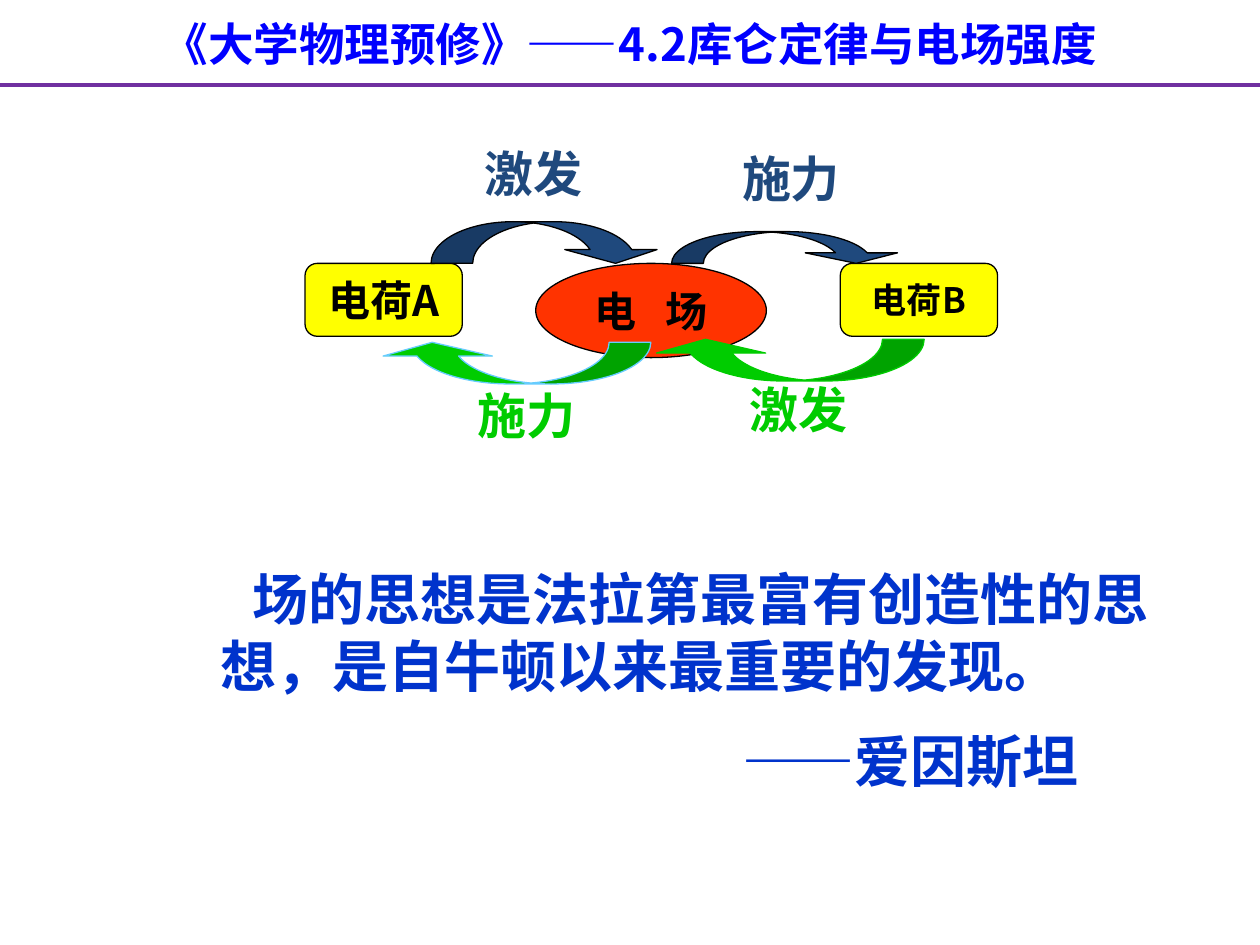
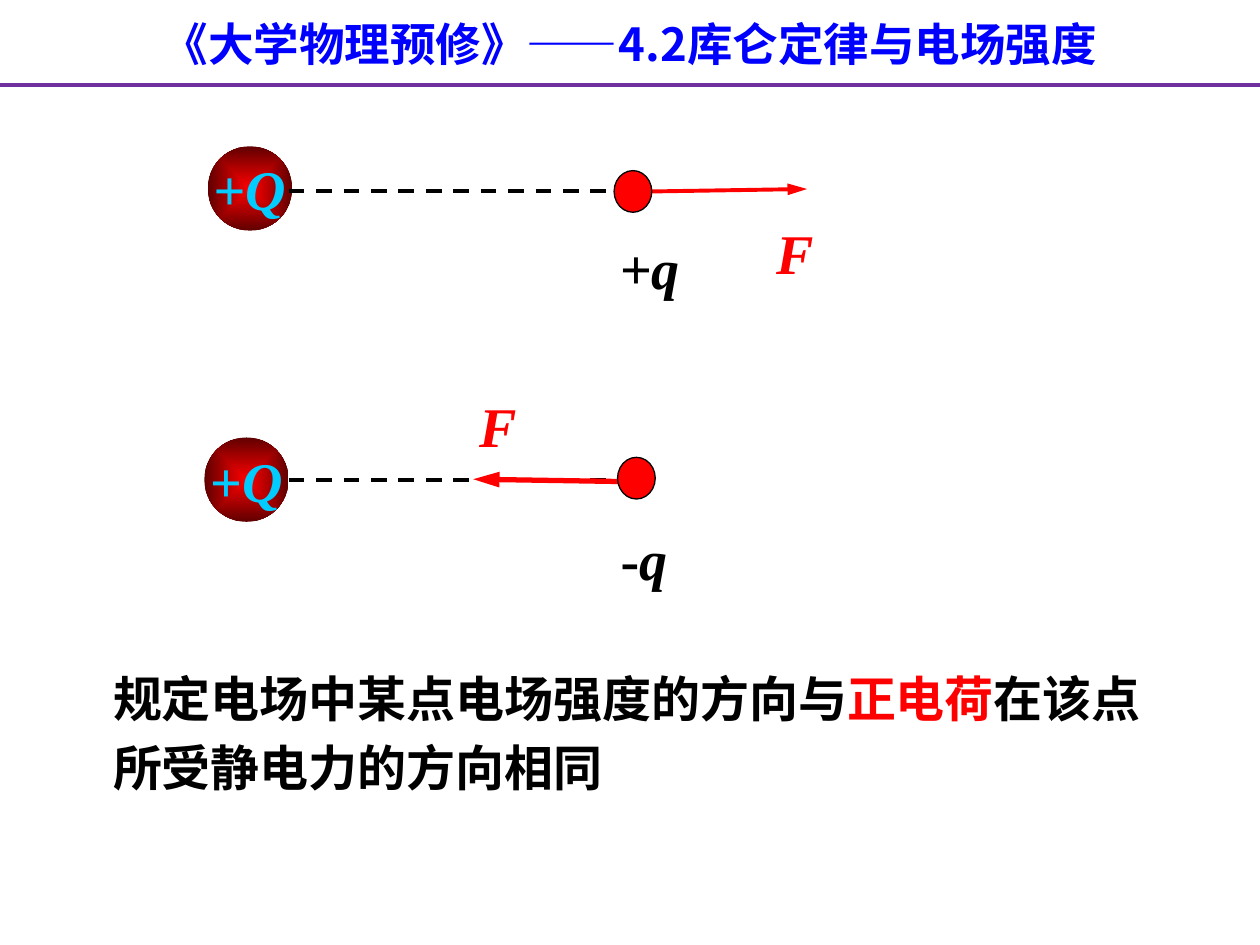
"""Builds two physics slides on the electric field and its direction."""
from dataclasses import dataclass
from typing import Optional

from lxml import etree
from pptx import Presentation
from pptx import util as u
from pptx.dml.color import RGBColor
from pptx.enum import dml, shapes, text
from pptx.oxml.ns import qn

SHAPE = shapes.MSO_SHAPE
ALIGN = text.PP_ALIGN


@dataclass(frozen=True)
class Theme:
    cjk: str = "Noto Sans CJK SC"
    label: str = "Calibri"
    math: str = "Times New Roman"
    title: str = "0000FF"
    rule: str = "7030A0"
    black: str = "000000"
    yellow: str = "FFFF00"
    orange: str = "FF3300"
    navy: str = "1F497D"
    green: str = "00CC00"
    sky: str = "66CCFF"
    cyan: str = "00CCFF"
    red: str = "FF0000"
    dark_red: str = "600000"
    quote: str = "0033CC"
    title_size: float = 26
    quote_size: float = 32
    body_size: float = 28
    node_size: float = 24
    small_size: float = 20
    thin: float = 0.75
    medium: float = 2.25


T = Theme()


@dataclass(frozen=True)
class Box:
    x: float
    y: float
    w: float
    h: float

    def cm(self) -> tuple:
        return tuple(u.Cm(v) for v in (self.x, self.y, self.w, self.h))


@dataclass(frozen=True)
class Run:
    text: str
    size: float
    color: str
    font: str = T.cjk
    italic: bool = False
    tracking: int = 0


@dataclass(frozen=True)
class Para:
    runs: tuple
    align: ALIGN = ALIGN.LEFT
    before: float = 0
    margin: float = 0
    indent: float = 0


@dataclass(frozen=True)
class Node:
    shape: SHAPE
    box: Box
    fill: str
    runs: tuple


@dataclass(frozen=True)
class Arc:
    box: Box
    fill: str
    line: str
    turned: bool
    label: str
    label_x: float
    label_y: float


@dataclass(frozen=True)
class ChargePair:
    source_x: float
    source_y: float
    axis_y: float
    probe_x: float
    probe_y: float
    sign: str
    sign_x: float
    sign_y: float
    force: tuple
    force_width: float
    force_x: float
    force_y: float


NODES = (
    Node(SHAPE.FLOWCHART_ALTERNATE_PROCESS, Box(6.15, 5.31, 3.17, 1.47), T.yellow,
         (Run("电荷A", T.node_size, T.black),)),
    Node(SHAPE.OVAL, Box(10.8, 5.31, 4.65, 1.9), T.orange,
         (Run("电", T.node_size, T.black, T.label),
          Run(" ", T.node_size, T.black, T.label, tracking=1080),
          Run("场", T.node_size, T.black, T.label))),
    Node(SHAPE.FLOWCHART_ALTERNATE_PROCESS, Box(16.94, 5.31, 3.17, 1.47), T.yellow,
         (Run("电荷B", T.small_size, T.black),)),
)
ARCS = (
    Arc(Box(8.69, 4.47, 4.65, 0.84), T.navy, T.black, False, "激发", 9.51, 2.77),
    Arc(Box(13.54, 4.67, 4.65, 0.64), T.navy, T.black, False, "施力", 14.71, 2.87),
    Arc(Box(7.61, 6.9, 5.51, 0.84), T.green, T.sky, True, "施力", 9.37, 7.65),
    Arc(Box(13.12, 6.84, 5.51, 0.84), T.green, T.green, True, "激发", 14.86, 7.53),
)
PAIRS = (
    ChargePair(4.19, 2.95, 3.85, 12.38, 3.44, "+", 12.57, 4.85,
               (13.11, 3.86, 16.27, 3.81), T.medium, 15.41, 4.29),
    ChargePair(4.12, 8.82, 9.67, 12.45, 9.22, "-", 12.45, 10.72,
               (12.7, 9.71, 9.54, 9.66), 3, 9.41, 7.77),
)


def rgb(color: str) -> RGBColor:
    """Turn a hex string into a colour."""
    return RGBColor.from_string(color)


def write(sp, paras: tuple, wrap: bool = False, middle: bool = False) -> None:
    """Fill a shape with formatted paragraphs."""
    tf = sp.text_frame
    tf.word_wrap = wrap
    tf.vertical_anchor = text.MSO_ANCHOR.MIDDLE if middle else text.MSO_ANCHOR.TOP
    for i, para in enumerate(paras):
        p = tf.add_paragraph() if i else tf.paragraphs[0]
        p.alignment = para.align
        p.space_before = u.Pt(para.before)
        pPr = p._p.get_or_add_pPr()
        pPr.set("marL", str(u.Cm(para.margin)))
        pPr.set("indent", str(u.Cm(para.indent)))
        for run in para.runs:
            r = p.add_run()
            r.text = run.text
            f = r.font
            f.size, f.bold, f.italic, f.name = u.Pt(run.size), True, run.italic, run.font
            f.color.rgb = rgb(run.color)
            rPr = r._r.get_or_add_rPr()
            if run.tracking:
                rPr.set("spc", str(run.tracking))
            etree.SubElement(rPr, qn("a:ea")).set("typeface", run.font)


def add_text(s, box: Box, paras: tuple, wrap: bool = False) -> None:
    """Add a text box."""
    write(s.shapes.add_textbox(*box.cm()), paras, wrap)


def add_preset(s, kind: SHAPE, box: Box, fill: Optional[str] = None,
               line: Optional[str] = None):
    """Add a preset shape with an optional flat fill and thin outline."""
    sp = s.shapes.add_shape(kind, *box.cm())
    sp.shadow.inherit = False
    if fill:
        sp.fill.solid()
        sp.fill.fore_color.rgb = rgb(fill)
    else:
        sp.fill.background()
    if line:
        sp.line.color.rgb = rgb(line)
        sp.line.width = u.Pt(T.thin)
    else:
        sp.line.fill.background()
    return sp


def add_line(s, ends: tuple, color: str, width: float,
             dashed: bool = False, arrow: bool = False) -> None:
    """Add a straight line, optionally dashed or with an arrowhead."""
    c = s.shapes.add_connector(shapes.MSO_CONNECTOR.STRAIGHT, *(u.Cm(v) for v in ends))
    c.line.color.rgb = rgb(color)
    c.line.width = u.Pt(width)
    if dashed:
        c.line.dash_style = dml.MSO_LINE.DASH
    if arrow:
        head = etree.SubElement(c.line._get_or_add_ln(), qn("a:tailEnd"))
        head.set("type", "triangle")
        head.set("len", "lg")
    etree.SubElement(c._element.spPr, qn("a:effectLst"))


def add_slide(prs):
    """Add a blank slide with the course title and its rule."""
    s = prs.slides.add_slide(prs.slide_layouts[6])
    title = Run("《大学物理预修》——4.2库仑定律与电场强度", T.title_size, T.title)
    add_text(s, Box(0, 0.2, 25.4, 1.37), (Para((title,), ALIGN.CENTER),), wrap=True)
    add_line(s, (0, 1.72, 25.4, 1.72), T.rule, T.medium)
    return s


def add_node(s, node: Node) -> None:
    """Add a labelled charge or field."""
    sp = add_preset(s, node.shape, node.box, node.fill, T.black)
    write(sp, (Para(node.runs, ALIGN.CENTER),), middle=True)


def add_arc(s, arc: Arc) -> None:
    """Add a curved arrow with its caption."""
    sp = add_preset(s, SHAPE.CURVED_DOWN_ARROW, arc.box, arc.fill, arc.line)
    thickness = 0.2 * arc.box.w / arc.box.h
    for i, value in enumerate((thickness, 2 * thickness, 0.33)):
        sp.adjustments[i] = value
    sp.rotation = 180 if arc.turned else 0
    caption = Run(arc.label, T.body_size, arc.fill, T.label)
    add_text(s, Box(arc.label_x, arc.label_y, 2.49, 1.45), (Para((caption,)),))


def write_charge(sp, sign: str, letter: str, color: str) -> None:
    """Write a centred sign and italic letter in a shape."""
    runs = (Run(sign, T.quote_size, color, T.math),
            Run(letter, T.quote_size, color, T.math, True))
    write(sp, (Para(runs, ALIGN.CENTER),), middle=True)


def add_source(s, x: float, y: float) -> None:
    """Add the shaded source charge."""
    sp = add_preset(s, SHAPE.OVAL, Box(x, y, 1.7, 1.7))
    sp.fill.gradient()
    for stop, color in zip(sp.fill.gradient_stops, (T.red, T.dark_red)):
        stop.color.rgb = rgb(color)
    grad = sp._element.spPr.find(qn("a:gradFill"))
    grad.remove(grad.find(qn("a:lin")))
    shade = etree.SubElement(grad, qn("a:path"))
    shade.set("path", "shape")
    center = etree.SubElement(shade, qn("a:fillToRect"))
    for side in "ltrb":
        center.set(side, "50000")
    write_charge(sp, "+", "Q", T.cyan)


def add_pair(s, pair: ChargePair) -> None:
    """Add a source charge, a probe charge and the force on the probe."""
    add_source(s, pair.source_x, pair.source_y)
    add_line(s, (5.82, pair.axis_y, 12.57, pair.axis_y), T.black, T.medium, dashed=True)
    label = add_preset(s, SHAPE.OVAL, Box(pair.sign_x, pair.sign_y, 1.07, 1.07))
    write_charge(label, pair.sign, "q", T.black)
    add_line(s, pair.force, T.red, pair.force_width, arrow=True)
    force = Run("F", T.quote_size, T.red, T.math, True)
    add_text(s, Box(pair.force_x, pair.force_y, 1.27, 1.6), (Para((force,)),))
    add_preset(s, SHAPE.OVAL, Box(pair.probe_x, pair.probe_y, 0.76, 0.84), T.red, T.black)


def build_field_slide(prs) -> None:
    """Show how two charges act on each other through the field."""
    s = add_slide(prs)
    for node in NODES:
        add_node(s, node)
    for arc in ARCS:
        add_arc(s, arc)
    quote = Run("场的思想是法拉第最富有创造性的思想，是自牛顿以来最重要的发现。",
                T.quote_size, T.quote)
    author = Run("——爱因斯坦", T.quote_size, T.quote)
    add_text(s, Box(4.19, 11.25, 19.71, 5),
             (Para((quote,), indent=0.65),
              Para((author,), before=16, margin=10.52)), wrap=True)


def build_direction_slide(prs) -> None:
    """Show the force on a positive and a negative charge."""
    s = add_slide(prs)
    for pair in PAIRS:
        add_pair(s, pair)
    first = (Run("规定电场中某点电场强度的方向与", T.body_size, T.black),
             Run("正电荷", T.body_size, T.red),
             Run("在该点", T.body_size, T.black))
    second = (Run("所受静电力的方向相同", T.body_size, T.black),)
    add_text(s, Box(2.03, 13.36, 22.94, 2.97),
             (Para(first), Para(second, before=5.6)), wrap=True)


def main() -> None:
    """Build and save the presentation."""
    prs = Presentation()
    prs.slide_width, prs.slide_height = u.Cm(25.4), u.Cm(19.05)
    build_field_slide(prs)
    build_direction_slide(prs)
    prs.save("out.pptx")


if __name__ == "__main__":
    main()
